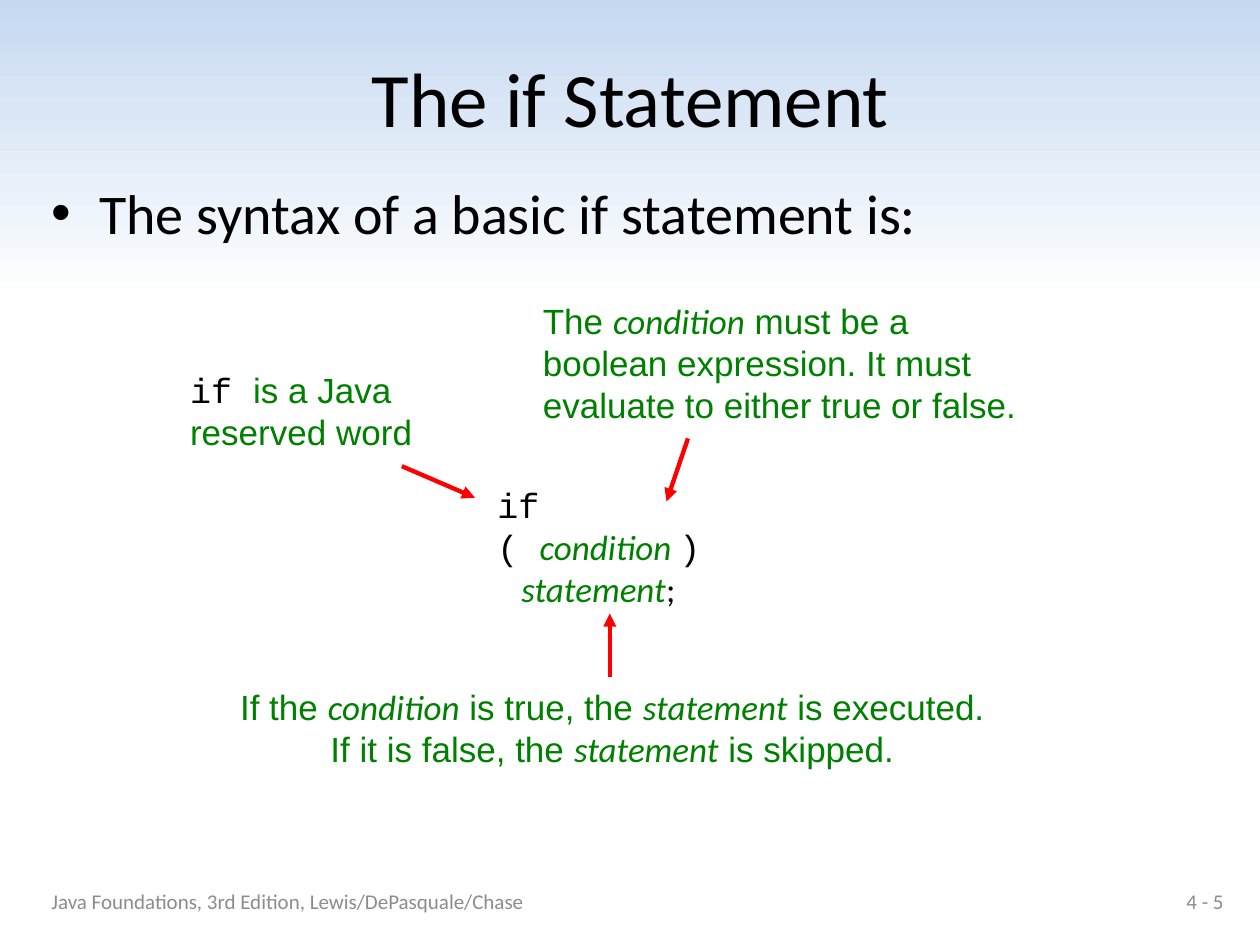
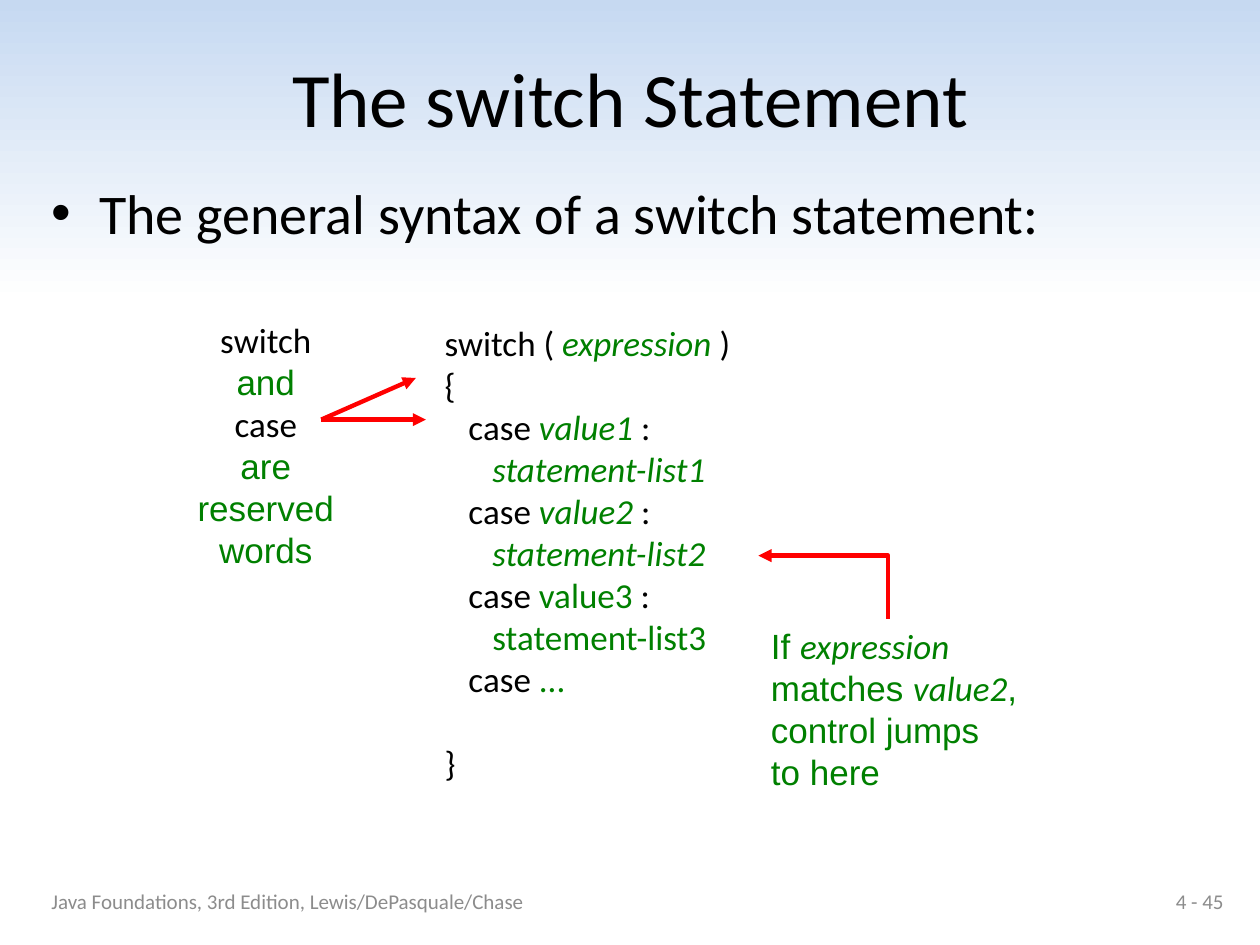
from dataclasses import dataclass
from typing import NamedTuple

from lxml.etree import SubElement
from pptx import Presentation
from pptx.dml.color import RGBColor
from pptx.enum.shapes import MSO_CONNECTOR as CXN
from pptx.enum.text import MSO_ANCHOR as ANCHOR, PP_ALIGN as ALIGN
from pptx.oxml.ns import qn
from pptx.util import Emu, Pt

EMU_PER_PX = 9144  # 100 px to the inch
SLIDE_W, SLIDE_H = 1000, 750
COLORS = {
    "text": "000000",
    "note": "008000",
    "arrow": "FF0000",
    "footer": "8C8C8C",
    "sky": "C6D9F1",
    "page": "FFFFFF",
}
FOOTER = "Java Foundations, 3rd Edition, Lewis/DePasquale/Chase"
CODE_INDENT = 19
BULLET_INDENT = 38


class Style(NamedTuple):
    font: str
    color: str
    size: int = 20
    italic: bool = False


TITLE = Style("Calibri", "text", 44)
BODY = Style("Calibri", "text", 32)
SMALL = Style("Calibri", "footer", 12)
NOTE = Style("Arial", "note")
TERM = Style("Calibri", "note", italic=True)
FIXED = Style("Calibri", "note")
CODE = Style("Calibri", "text")
MONO = Style("Courier New", "text")


class Box(NamedTuple):
    left: int
    top: int
    width: int
    height: int


class Point(NamedTuple):
    x: int
    y: int


class Arrow(NamedTuple):
    start: Point
    tip: Point
    bent: bool = False


@dataclass
class Line:
    """One paragraph: its (text, style) runs, indent level and space before in points."""
    runs: list[tuple[str, Style]]
    level: int = 0
    before: float = 0


@dataclass
class Block:
    box: Box
    lines: list[Line]
    align: ALIGN = ALIGN.LEFT
    anchor: ANCHOR = ANCHOR.MIDDLE


@dataclass
class Page:
    number: str
    title: str
    bullet: str
    blocks: list[Block]
    arrows: list[Arrow]


def line(*runs: tuple[str, Style], level: int = 0, before: float = 0) -> Line:
    return Line(list(runs), level, before)


def case_lines(number: int, style: Style) -> list[Line]:
    """A case label and the statement list below it."""
    return [
        line(("case ", CODE), (f"value{number}", style), (" :", CODE), level=1),
        line((f"statement-list{number}", style), level=2),
    ]


PAGES = [
    Page(
        "4 - 5", "The if Statement", "The syntax of a basic if statement is:",
        [
            Block(Box(385, 395, 223, 77), [
                line(("if ( ", MONO), ("condition ", TERM), (")", MONO)),
                line(("statement", TERM), (";", CODE), level=1),
            ]),
            Block(Box(141, 287, 198, 77), [
                line(("if ", MONO), ("is a Java", NOTE)),
                line(("reserved word", NOTE)),
            ]),
            Block(Box(421, 233, 459, 110), [
                line(("The ", NOTE), ("condition", TERM), (" must be a", NOTE)),
                line(("boolean expression. It must", NOTE)),
                line(("evaluate to either true or false.", NOTE)),
            ]),
            Block(Box(178, 539, 616, 77), [
                line(("If the ", NOTE), ("condition", TERM), (" is true, the ", NOTE),
                     ("statement", TERM), (" is executed.", NOTE)),
                line(("If it is false, the ", NOTE), ("statement", TERM),
                     (" is skipped.", NOTE)),
            ], ALIGN.CENTER),
        ],
        [
            Arrow(Point(319, 370), Point(377, 395)),
            Arrow(Point(546, 348), Point(529, 398)),
            Arrow(Point(484, 537), Point(484, 487)),
        ],
    ),
    Page(
        "4 - 45", "The switch Statement", "The general syntax of a switch statement:",
        [
            Block(Box(343, 250, 370, 377), [
                line(("switch ( ", CODE), ("expression", TERM), (" )", CODE)),
                line(("{", CODE)),
                *case_lines(1, TERM),
                *case_lines(2, TERM),
                *case_lines(3, FIXED),
                line(("case ", CODE), ("...", FIXED), level=1),
                line(("}", CODE), before=24.4),
            ]),
            Block(Box(143, 248, 136, 210), [
                line(("switch", CODE)),
                line(("and", NOTE)),
                line(("case", CODE)),
                line(("are", NOTE)),
                line(("reserved", NOTE)),
                line(("words", NOTE)),
            ], ALIGN.CENTER),
            Block(Box(602, 491, 248, 143), [
                line(("If ", NOTE), ("expression", TERM)),
                line(("matches ", NOTE), ("value2", TERM), (",", NOTE)),
                line(("control jumps", NOTE)),
                line(("to here", NOTE)),
            ]),
        ],
        [
            Arrow(Point(255, 333), Point(338, 333)),
            Arrow(Point(255, 333), Point(330, 300)),
            Arrow(Point(705, 491), Point(602, 441), bent=True),
        ],
    ),
]


def px(value: float) -> Emu:
    return Emu(round(value * EMU_PER_PX))


def rgb(name: str) -> RGBColor:
    return RGBColor.from_string(COLORS[name])


def add_block(slide, block: Block):
    tf = slide.shapes.add_textbox(*map(px, block.box)).text_frame
    tf.word_wrap = True
    tf.vertical_anchor = block.anchor
    for i, item in enumerate(block.lines):
        p = tf.add_paragraph() if i else tf.paragraphs[0]
        p.alignment = block.align
        if item.before:
            p.space_before = Pt(item.before)
        if item.level:
            p._p.get_or_add_pPr().set("marL", str(px(item.level * CODE_INDENT)))
        for text, style in item.runs:
            r = p.add_run()
            r.text = text
            r.font.name = style.font
            r.font.size = Pt(style.size)
            r.font.italic = style.italic
            r.font.color.rgb = rgb(style.color)
    return tf


def add_bullet(p) -> None:
    pPr = p._p.get_or_add_pPr()
    pPr.set("marL", str(px(BULLET_INDENT)))
    pPr.set("indent", str(px(-BULLET_INDENT)))
    SubElement(pPr, qn("a:buFont")).set("typeface", "Arial")
    SubElement(pPr, qn("a:buChar")).set("char", "•")


def add_arrow(slide, arrow: Arrow) -> None:
    """Draw a straight arrow, or one that leaves upwards and then turns left."""
    start, tip = arrow.start, arrow.tip
    if arrow.bent:
        cx, cy = (start.x + tip.x) / 2, (start.y + tip.y) / 2
        dx, dy = (start.x - tip.x) / 2, (start.y - tip.y) / 2
        ends = (cx + dy, cy - dx, cx - dy, cy + dx)  # before the quarter turn
        cxn = slide.shapes.add_connector(CXN.ELBOW, *map(px, ends))
        spPr = cxn._element.spPr
        spPr.find(qn("a:xfrm")).set("rot", str(90 * 60000))
        spPr.find(qn("a:prstGeom")).set("prst", "bentConnector2")
    else:
        cxn = slide.shapes.add_connector(CXN.STRAIGHT, *map(px, (*start, *tip)))
        spPr = cxn._element.spPr
    cxn.line.color.rgb = rgb("arrow")
    cxn.line.width = Pt(2.5)
    SubElement(spPr.find(qn("a:ln")), qn("a:tailEnd")).set("type", "triangle")
    SubElement(spPr, qn("a:effectLst"))


def set_background(master) -> None:
    fill = master.background.fill
    fill.gradient()
    fill.gradient_angle = 90
    for stop, position, color in zip(fill.gradient_stops, (0.68, 1), ("page", "sky")):
        stop.position = position
        stop.color.rgb = rgb(color)


def add_page(prs, page: Page) -> None:
    slide = prs.slides.add_slide(prs.slide_layouts[6])
    add_block(slide, Block(Box(19, 30, 963, 94), [line((page.title, TITLE))], ALIGN.CENTER))
    body = Block(Box(31, 137, 951, 558), [line((page.bullet, BODY))], anchor=ANCHOR.TOP)
    add_bullet(add_block(slide, body).paragraphs[0])
    add_block(slide, Block(Box(31, 695, 717, 40), [line((FOOTER, SMALL))]))
    add_block(slide, Block(Box(748, 695, 233, 40), [line((page.number, SMALL))], ALIGN.RIGHT))
    for block in page.blocks:
        add_block(slide, block)
    for arrow in page.arrows:
        add_arrow(slide, arrow)


def main() -> None:
    prs = Presentation()
    prs.slide_width, prs.slide_height = px(SLIDE_W), px(SLIDE_H)
    set_background(prs.slide_master)
    for page in PAGES:
        add_page(prs, page)
    prs.save("out.pptx")


if __name__ == "__main__":
    main()
